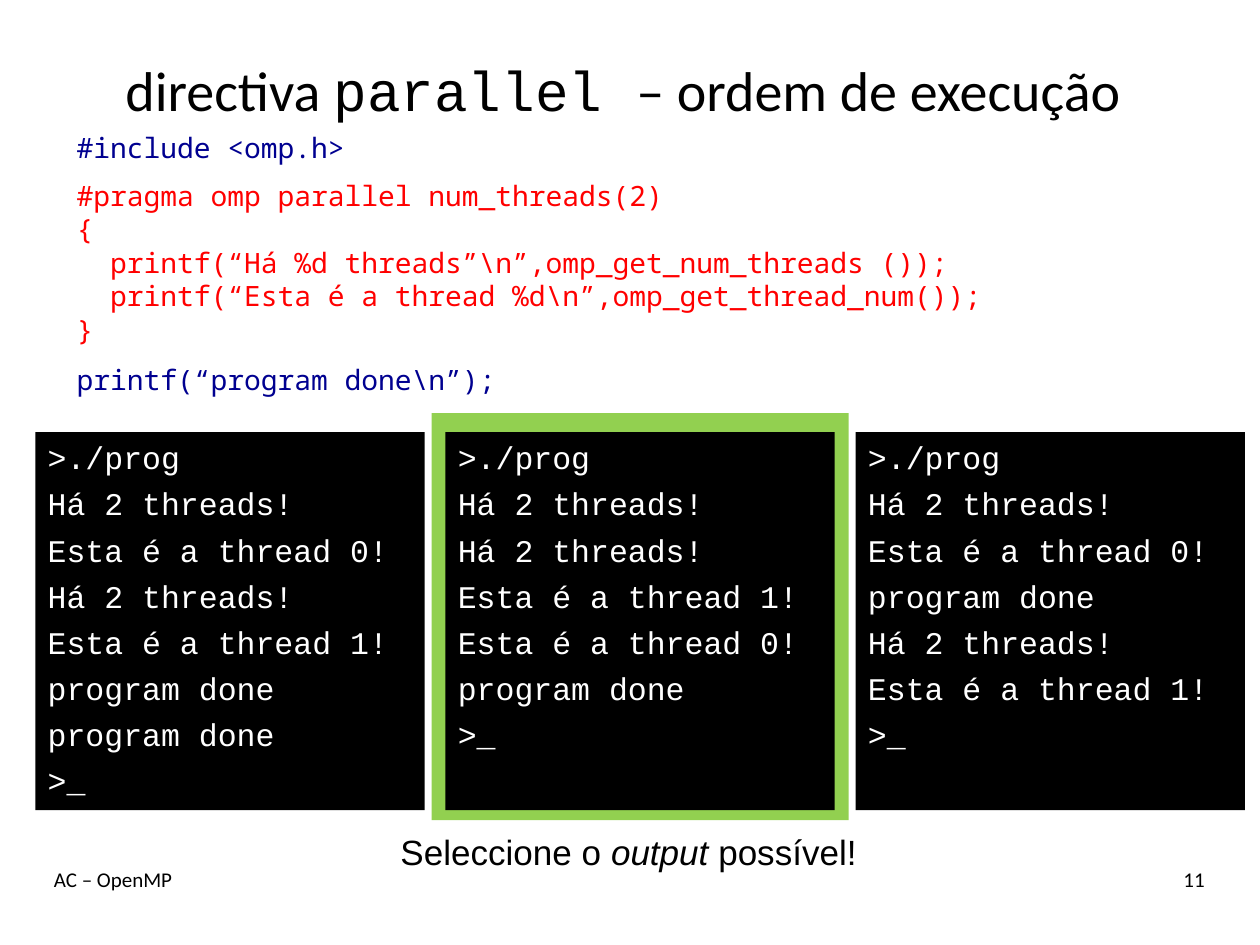
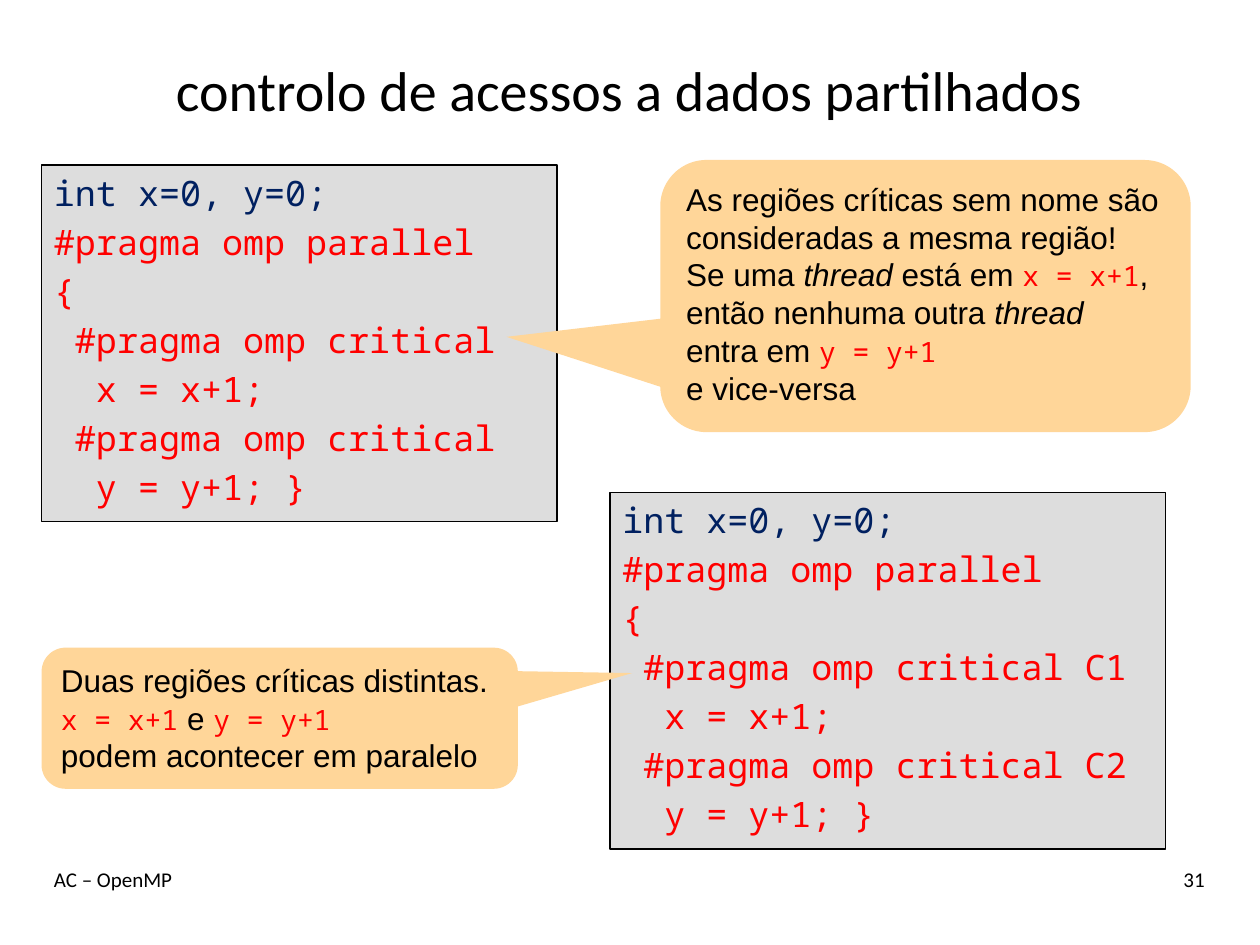
from pptx import Presentation
from pptx.dml.color import RGBColor
from pptx.enum.shapes import MSO_SHAPE
from pptx.enum.text import MSO_ANCHOR, MSO_AUTO_SIZE, PP_ALIGN
from pptx.util import Inches, Pt

WIDE, HIGH = Inches(10), Inches(7.5)
COLS, ROWS = 100, 75

BLACK = RGBColor(0, 0, 0)
WHITE = RGBColor(255, 255, 255)
RED = RGBColor(255, 0, 0)
NAVY = RGBColor(0, 0, 0x90)
DEEP = RGBColor(0, 0x20, 0x60)
GREEN = RGBColor(0x92, 0xD0, 0x50)
GREY = RGBColor(0xDD, 0xDD, 0xDD)
PEACH = RGBColor(0xFF, 0xD6, 0x99)


def face(name, size, tint=BLACK, italic=False):
    return {"name": name, "size": Pt(size), "italic": italic}, tint


MONO = "Noto Sans Mono"
HEAD = face("Calibri", 32)
KEY = face("Courier New", 32)
FOOT = face("Calibri", 12)
TERM = face("Courier New", 18, WHITE)
BODY = face("Arial", 18)
SLANT = face("Arial", 18, italic=True)
NOTE = face("Arial", 20)
STRESS = face("Arial", 20, italic=True)
SNIP = face(MONO, 16, RED)
PLAIN = face(MONO, 16, NAVY)
DECL = face(MONO, 20, DEEP)
CODE = face(MONO, 20, RED)

RUNS = [
    [">./prog", "Há 2 threads!", "Esta é a thread 0!", "Há 2 threads!",
     "Esta é a thread 1!", "program done", "program done", ">_"],
    [">./prog", "Há 2 threads!", "Há 2 threads!", "Esta é a thread 1!",
     "Esta é a thread 0!", "program done", ">_"],
    [">./prog", "Há 2 threads!", "Esta é a thread 0!", "program done",
     "Há 2 threads!", "Esta é a thread 1!", ">_"],
]


def place(box):
    x, y, w, h = box
    return (round(x * WIDE / COLS), round(y * HIGH / ROWS),
            round(w * WIDE / COLS), round(h * HIGH / ROWS))


def apply(item, form):
    for key, value in form.items():
        setattr(item, key, value)


def write(frame, lines, gap=0, align=PP_ALIGN.LEFT):
    for i, line in enumerate(lines):
        para = frame.paragraphs[0] if i == 0 else frame.add_paragraph()
        apply(para, {"alignment": align, "space_before": Pt(gap if i else 0)})
        for text, (form, tint) in line:
            run = para.add_run()
            run.text = text
            apply(run.font, form)
            run.font.color.rgb = tint


def label(slide, box, lines, wrap=True, align=PP_ALIGN.LEFT):
    frame = slide.shapes.add_textbox(*place(box)).text_frame
    fit = MSO_AUTO_SIZE.NONE if wrap else MSO_AUTO_SIZE.SHAPE_TO_FIT_TEXT
    apply(frame, {"word_wrap": wrap, "auto_size": fit})
    write(frame, lines, align=align)
    return frame


def panel(slide, box, fill, lines=(), gap=0, kind=MSO_SHAPE.RECTANGLE, edge=None):
    shape = slide.shapes.add_shape(kind, *place(box))
    shape.shadow.inherit = False
    shape.fill.solid()
    shape.fill.fore_color.rgb = fill
    if edge is None:
        shape.line.fill.background()
    else:
        shape.line.color.rgb = edge
        shape.line.width = Pt(0.75)
    apply(shape.text_frame, {"word_wrap": True, "vertical_anchor": MSO_ANCHOR.TOP})
    write(shape.text_frame, lines, gap)
    return shape


def start(deck, title, page):
    slide = deck.slides.add_slide(deck.slide_layouts[5])
    head = slide.shapes.title
    apply(head, dict(zip(("left", "top", "width", "height"),
                         place((3.3, 2.5, 93.3, 9.2)))))
    apply(head.text_frame, {"word_wrap": True, "vertical_anchor": MSO_ANCHOR.MIDDLE,
                            "auto_size": MSO_AUTO_SIZE.NONE})
    write(head.text_frame, [title], align=PP_ALIGN.CENTER)
    label(slide, (3.3, 68.3, 70, 5), [[("AC – OpenMP", FOOT)]])
    label(slide, (83.3, 68.3, 13.3, 5), [[(page, FOOT)]], align=PP_ALIGN.RIGHT)
    return slide


def shells(slide, box, pick):
    x, y, w, h = box
    span = 30.9
    step = (w - span) / (len(RUNS) - 1)
    panel(slide, (x + pick * step - 1.1, y - 1.5, span + 2.2, h + 2.3), GREEN)
    for i, rows in enumerate(RUNS):
        panel(slide, (x + i * step, y, span, h), BLACK,
              [[(row, TERM)] for row in rows], 4.75)


def listing(slide, box, names=("", "")):
    first, second = names
    rows = ["#pragma omp parallel", "{", " #pragma omp critical" + first, "  x = x+1;",
            " #pragma omp critical" + second, "  y = y+1; }"]
    lines = [[("int x=0, y=0;", DECL)]] + [[(row, CODE)] for row in rows]
    panel(slide, box, GREY, lines, 4, edge=BLACK)


def bubble(slide, box, tip, lines):
    shape = panel(slide, box, PEACH, lines, kind=MSO_SHAPE.ROUNDED_RECTANGULAR_CALLOUT)
    for i, value in enumerate((*tip, 0.17)):
        shape.adjustments[i] = value


def order(deck):
    slide = start(deck, [("directiva ", HEAD), ("parallel ", KEY),
                         ("– ordem de execução ", HEAD)], "11")
    rows = ["#pragma omp parallel num_threads(2)", "{",
            "  printf(“Há %d threads”\\n”,omp_get_num_threads ());",
            "  printf(“Esta é a thread %d\\n”,omp_get_thread_num());", "}"]
    frame = label(slide, (5.1, 9.9, 74.9, 23.5),
                  [[("#include <omp.h>", PLAIN)], *[[(row, SNIP)] for row in rows],
                   [("printf(“program done\\n”);", PLAIN)]], wrap=False)
    frame.paragraphs[0].space_after = Pt(7.7)
    frame.paragraphs[-1].space_before = Pt(9.4)
    shells(slide, (2.8, 34.3, 96, 30), 1)
    label(slide, (30.8, 65.4, 38.5, 4.4),
          [[("Seleccione o ", NOTE), ("output ", STRESS), ("possível!", NOTE)]], wrap=False)


def access(deck):
    slide = start(deck, [("controlo de acessos a dados partilhados", HEAD)], "31")
    listing(slide, (3.3, 13.1, 40.9, 28.3))
    listing(slide, (48.4, 39.1, 44.1, 28.3), (" C1", " C2"))
    bubble(slide, (52.4, 12.7, 42.1, 21.6), (-0.79, 0.15), [
        [("As regiões críticas sem nome são consideradas a mesma região!", BODY)],
        [("Se uma ", BODY), ("thread ", SLANT), ("está em ", BODY),
         ("x = x+1", SNIP), (",", BODY)],
        [("então nenhuma outra ", BODY), ("thread", SLANT)],
        [("entra em ", BODY), ("y = y+1", SNIP)],
        [("e vice-versa", BODY)]])
    bubble(slide, (3.3, 51.4, 37.8, 11.2), (0.74, -0.32), [
        [("Duas regiões críticas distintas.", BODY)],
        [("x = x+1", SNIP), (" e ", BODY), ("y = y+1", SNIP)],
        [("podem acontecer em paralelo", BODY)]])


def main():
    deck = Presentation()
    apply(deck, {"slide_width": WIDE, "slide_height": HIGH})
    order(deck)
    access(deck)
    deck.save("out.pptx")


if __name__ == "__main__":
    main()
